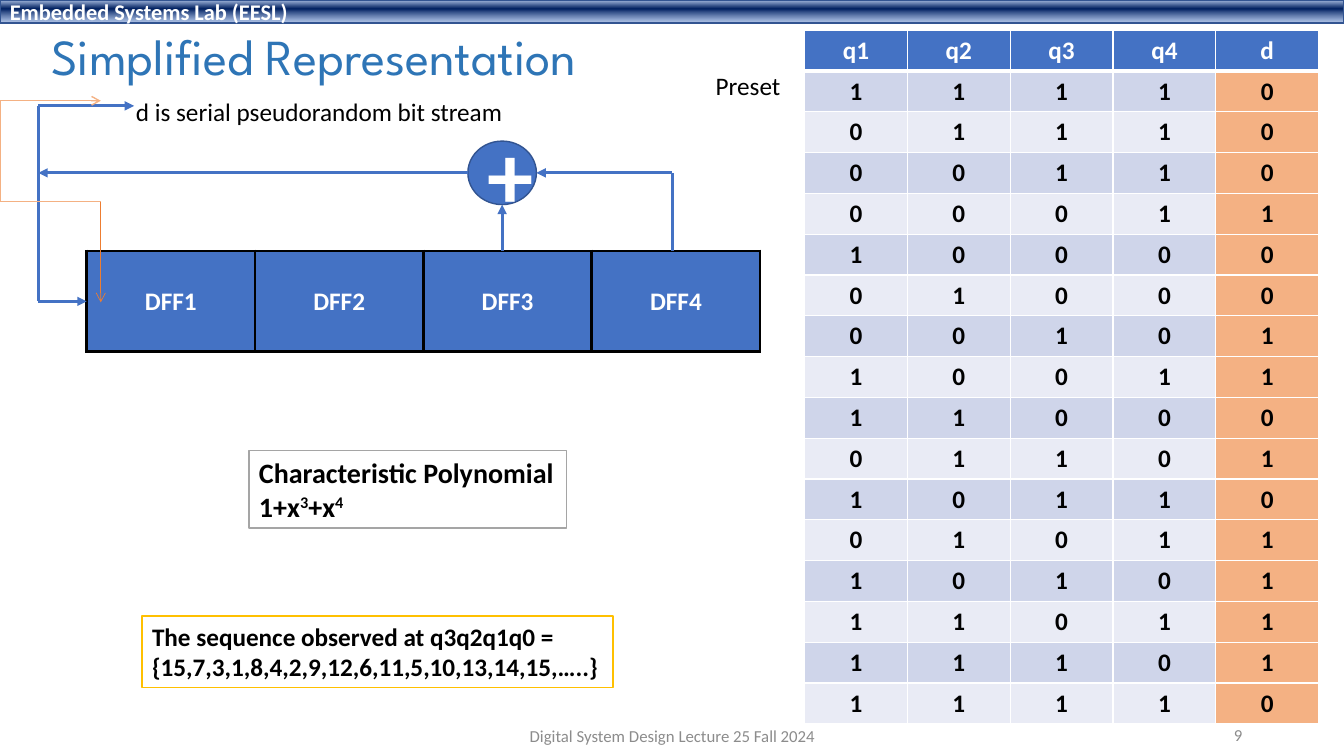
from lxml.etree import SubElement
from pptx import Presentation
from pptx.dml.color import RGBColor
from pptx.enum.shapes import MSO_CONNECTOR, MSO_SHAPE
from pptx.enum.text import MSO_ANCHOR, PP_ALIGN
from pptx.oxml import parse_xml
from pptx.oxml.ns import nsdecls, qn
from pptx.util import Inches, Pt

# Content
REGISTERS = ["DFF1", "DFF2", "DFF3", "DFF4"]
STATE_HEADER = ["q1", "q2", "q3", "q4", "d"]
STATES = ["11110", "01110", "00110", "00011", "10000", "01000", "00101", "10011",
          "11000", "01101", "10110", "01011", "10101", "11011", "11101", "11110"]
POLYNOMIAL = [[("Characteristic Polynomial", 0)],
              [("1+x", 0), ("3", 30), ("+x", 0), ("4", 30)]]
SEQUENCE = [[("The sequence observed at q3q2q1q0 =", 0)],
            [("{15,7,3,1,8,4,2,9,12,6,11,5,10,13,14,15,…..}", 0)]]
COLORS = {"blue": "4472C4", "outline": "325491", "title": "2E75B6", "white": "FFFFFF",
          "black": "000000", "footer": "8C8C8C", "gray": "A5A5A5", "gold": "FFC000",
          "band": "CFD5EA", "pale": "E9EBF5", "peach": "F4B183", "orange": "ED7D31"}
HEADER_STOPS = [(2, "ABC0E4", 100), (38, "002060", 100), (93, "7E9ED6", 64)]

# Grid: one column or row is one inch
WIDTH, HEIGHT = 13.33, 7.5
REGISTER_LEFT, REGISTER_TOP, REGISTER_WIDTH, REGISTER_HEIGHT = 0.86, 2.49, 1.67, 1
REGISTER_MIDDLE = REGISTER_TOP + REGISTER_HEIGHT / 2
STATE_LEFT, STATE_TOP, STATE_COLUMN, STATE_ROW = 7.98, 0.3, 1.02, 0.405
ADDER_LEFT, ADDER_TOP, ADDER_WIDTH, ADDER_HEIGHT = 4.64, 1.4, 0.68, 0.63
ADDER_X, ADDER_Y = ADDER_LEFT + ADDER_WIDTH / 2, ADDER_TOP + ADDER_HEIGHT / 2
FEEDBACK_X, OUTPUT_Y, TAP_X = 0.38, 1.05, 6.67

presentation = Presentation()
presentation.slide_width, presentation.slide_height = Inches(WIDTH), Inches(HEIGHT)
slide = presentation.slides.add_slide(presentation.slide_layouts[6])
shapes = slide.shapes


def rgb(name):
    return RGBColor.from_string(COLORS[name])


def write(frame, lines, color="black", align=PP_ALIGN.LEFT, font="Calibri", size=18,
          bold=False, spacing=None):
    for number, line in enumerate(lines):
        paragraph = frame.paragraphs[0] if number == 0 else frame.add_paragraph()
        paragraph.alignment, paragraph.line_spacing = align, spacing
        for text, raised in line:
            run = paragraph.add_run()
            run.text = text
            for key, value in {"name": font, "size": Pt(size), "bold": bold}.items():
                setattr(run.font, key, value)
            run.font.color.rgb = rgb(color)
            if raised:
                run.font._element.set("baseline", str(raised * 1000))


def add_text(text, box, wrap=True, anchor=MSO_ANCHOR.TOP, **formats):
    frame = shapes.add_textbox(*map(Inches, box)).text_frame
    frame.word_wrap, frame.vertical_anchor = wrap, anchor
    write(frame, [[(text, 0)]], **formats)


def add_block(kind, box, fill, line, lines, wrap=True, anchor=MSO_ANCHOR.MIDDLE, **formats):
    shape = shapes.add_shape(kind, *map(Inches, box))
    shape.shadow.inherit = False
    shape.fill.solid()
    shape.fill.fore_color.rgb = rgb(fill)
    shape.line.color.rgb, shape.line.width = rgb(line), Pt(1)
    shape.text_frame.word_wrap, shape.text_frame.vertical_anchor = wrap, anchor
    write(shape.text_frame, lines, **formats)
    return shape


def style_line(shape, color, width, head=None):
    shape.line.color.rgb, shape.line.width = rgb(color), Pt(width)
    if head:
        SubElement(shape.line._get_or_add_ln(), qn("a:tailEnd"), type=head)


def add_wire(start, end, head=None):
    wire = shapes.add_connector(MSO_CONNECTOR.STRAIGHT, *map(Inches, start + end))
    style_line(wire, "blue", 2.25, head)
    SubElement(wire._element.spPr, qn("a:effectLst"))


def add_grid(left, top, column, row, rows, look):
    """look(row, column) gives fill, text colour, border colour, top and bottom widths."""
    count = len(rows[0])
    table = shapes.add_table(len(rows), count, *map(
        Inches, (left, top, column * count, row * len(rows)))).table
    table.horz_banding = False
    for r, values in enumerate(rows):
        for c, value in enumerate(values):
            fill, color, border, upper, lower = look(r, c)
            cell = table.cell(r, c)
            cell.vertical_anchor = MSO_ANCHOR.MIDDLE
            side = min(upper, lower)
            properties = cell._tc.get_or_add_tcPr()
            for tag, width in zip("LRTB", (side, side, upper, lower)):
                edge = SubElement(properties, qn("a:ln" + tag), w=str(Pt(width)))
                SubElement(SubElement(edge, qn("a:solidFill")), qn("a:srgbClr"),
                           val=COLORS[border])
            cell.fill.solid()
            cell.fill.fore_color.rgb = rgb(fill)
            write(cell.text_frame, [[(value, 0)]], color, PP_ALIGN.CENTER, bold=True)


def bezier(points, steps=16):
    """Points along a cubic curve, without its start."""
    for step in range(1, steps + 1):
        t = step / steps
        weights = ((1 - t) ** 3, 3 * t * (1 - t) ** 2, 3 * t * t * (1 - t), t ** 3)
        yield tuple(sum(w * p[axis] for w, p in zip(weights, points)) for axis in (0, 1))


def add_stroke(points, color, width):
    builder = shapes.build_freeform(*points[0], scale=Inches(1))
    builder.add_line_segments(points[1:], close=False)
    stroke = builder.convert_to_shape()
    stroke.shadow.inherit = False
    stroke.fill.background()
    style_line(stroke, color, width, "arrow")


# Header bar and title
header = add_block(MSO_SHAPE.RECTANGLE, (0, 0, WIDTH, 0.23), "blue", "outline",
                   [[("Embedded Systems Lab (EESL)", 0)]], color="white", size=16, bold=True)
stops = "".join(
    f'<a:gs pos="{place * 1000}"><a:srgbClr val="{color}"><a:alpha val="{alpha * 1000}"/>'
    f'</a:srgbClr></a:gs>' for place, color, alpha in HEADER_STOPS)
solid = header._element.spPr.find(qn("a:solidFill"))
solid.getparent().replace(solid, parse_xml(
    f'<a:gradFill {nsdecls("a")}><a:gsLst>{stops}</a:gsLst><a:lin ang="5400000"/></a:gradFill>'))
add_text("Simplified Representation", (0.41, 0.15, 7.36, 0.87), anchor=MSO_ANCHOR.MIDDLE,
         color="title", font="League Spartan", size=36, spacing=0.9)

# Shift register
add_grid(REGISTER_LEFT, REGISTER_TOP, REGISTER_WIDTH, REGISTER_HEIGHT, [REGISTERS],
         lambda r, c: ("blue", "white", "black", 2.25, 2.25))

# Adder and feedback wires
add_block(MSO_SHAPE.OVAL, (ADDER_LEFT, ADDER_TOP, ADDER_WIDTH, ADDER_HEIGHT), "blue",
          "outline", [[("+", 0)]], color="white", align=PP_ALIGN.CENTER, size=66, bold=True)
for start, end, head in [
    ((ADDER_X, REGISTER_TOP), (ADDER_X, ADDER_TOP + ADDER_HEIGHT), "triangle"),
    ((TAP_X, REGISTER_TOP), (TAP_X, ADDER_Y), None),
    ((TAP_X, ADDER_Y), (ADDER_LEFT + ADDER_WIDTH, ADDER_Y), "triangle"),
    ((ADDER_LEFT, ADDER_Y), (FEEDBACK_X, ADDER_Y), "triangle"),
    ((FEEDBACK_X, OUTPUT_Y), (FEEDBACK_X, REGISTER_MIDDLE), None),
    ((FEEDBACK_X, REGISTER_MIDDLE), (REGISTER_LEFT, REGISTER_MIDDLE), "triangle"),
    ((FEEDBACK_X, OUTPUT_Y), (1.33, OUTPUT_Y), "triangle"),
]:
    add_wire(start, end, head)
add_text("d is serial pseudorandom bit stream", (1.25, 0.91, 3.88, 0.4), wrap=False)


# State table
def state_look(row, column):
    if row == 0:
        return "blue", "white", "white", 1, 3
    fill = "peach" if column == 4 else "band" if row % 2 else "pale"
    return fill, "black", "white", 3 if row == 1 else 1, 1


add_grid(STATE_LEFT, STATE_TOP, STATE_COLUMN, STATE_ROW, [STATE_HEADER] + STATES, state_look)
add_text("Preset", (7, 0.65, 0.85, 0.4), wrap=False)

# Result boxes
for lines, box, line, size in [(POLYNOMIAL, (2.47, 4.47, 3.15, 0.77), "gray", 20),
                               (SEQUENCE, (1.41, 6.11, 4.67, 0.71), "gold", 18)]:
    add_block(MSO_SHAPE.RECTANGLE, box, "white", line, lines, wrap=False,
              anchor=MSO_ANCHOR.TOP, size=size, bold=True)

# Hand-drawn arrows
add_stroke([(1.21, 1.88), (0.48, 1.95),
            *bezier([(0.48, 1.95), (0.39, 2.09), (0.68, 2.59), (0.7, 2.71)])], "orange", 0.5)
add_stroke([(1.15, 1.56),
            *bezier([(1.15, 1.56), (0.85, 1.59), (0.56, 1.61), (0.47, 1.54)]),
            *bezier([(0.47, 1.54), (0.38, 1.47), (0.49, 1.32), (0.59, 1.16)])], "peach", 1)

# Footer
for text, box, align in [
    ("Digital System Design Lecture 25 Fall 2024", (4.42, 7.1, 4.5, 0.4), PP_ALIGN.CENTER),
    ("9", (9.42, 7.09, 3, 0.4), PP_ALIGN.RIGHT),
]:
    add_text(text, box, anchor=MSO_ANCHOR.MIDDLE, color="footer", align=align, size=12)

presentation.save("out.pptx")
